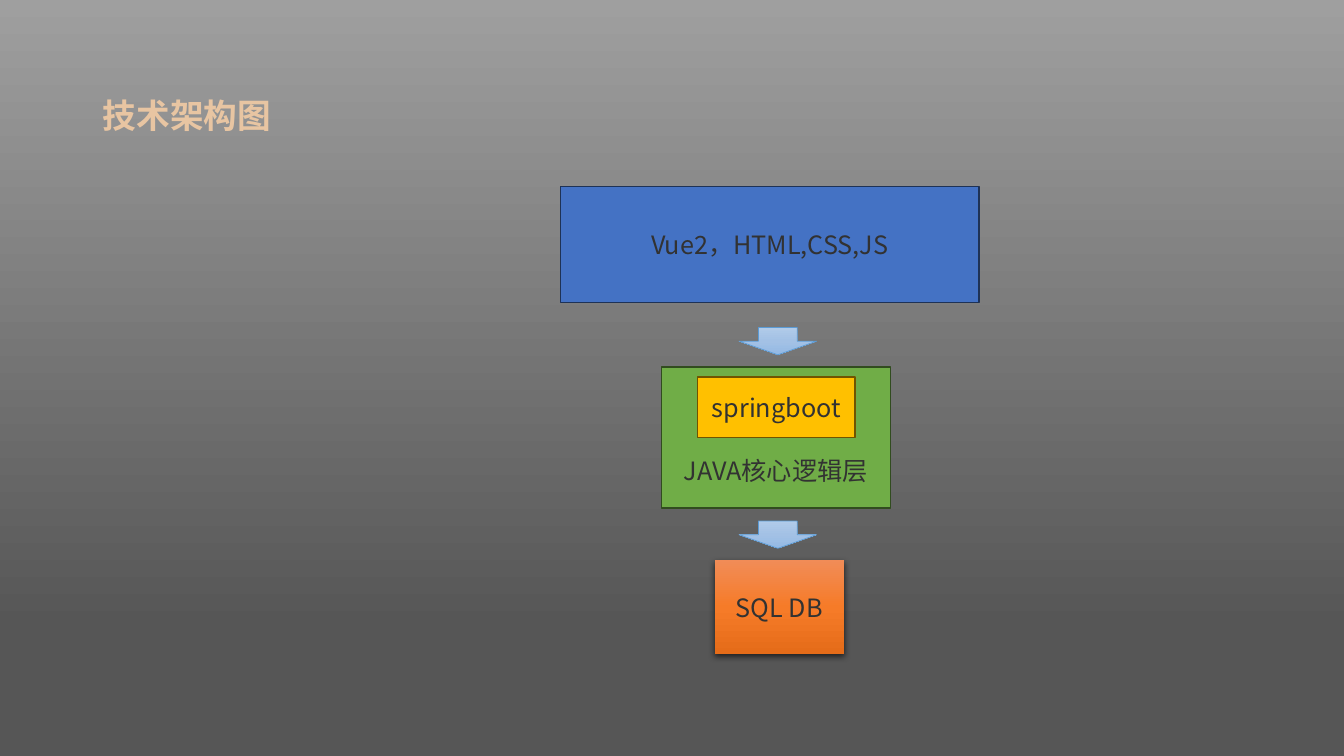
"""Build the technical architecture slide: three stacked layers joined by arrows."""
from lxml.etree import SubElement
from pptx import Presentation
from pptx.dml.color import RGBColor as RGB
from pptx.enum.shapes import MSO_SHAPE as SHAPE
from pptx.enum.text import MSO_ANCHOR as ANCHOR, PP_ALIGN as ALIGN
from pptx.oxml.ns import qn
from pptx.util import Inches, Pt

FONT = "Noto Sans CJK SC"
INK = RGB(0x32, 0x32, 0x32)
BLUE, BLUE_EDGE = RGB(0x44, 0x72, 0xC4), RGB(0x1E, 0x32, 0x56)
GREEN, GREEN_EDGE = RGB(0x70, 0xAD, 0x47), RGB(0x31, 0x4C, 0x1F)
GOLD, GOLD_EDGE = RGB(0xFF, 0xC0, 0x00), RGB(0x70, 0x54, 0x00)
ARROW_EDGE = RGB(0x5B, 0x9B, 0xD5)
BACKDROP = [(0, RGB(0x9F, 0x9F, 0x9F)), (83, RGB(0x56, 0x56, 0x56))]
TITLE_TINT = [(0, RGB(0xE8, 0xC5, 0xA2)), (100, RGB(0xCE, 0x82, 0x36))]
ORANGE = [(0, RGB(0xF1, 0x8C, 0x57)), (50, RGB(0xF6, 0x7B, 0x28)), (100, RGB(0xE5, 0x6C, 0x19))]
SKY = [(0, RGB(0xB1, 0xCB, 0xE9)), (50, RGB(0xA3, 0xC1, 0xE5)), (100, RGB(0x93, 0xB9, 0xE4))]

TITLE = "技术架构图"
LAYERS = [
    dict(text="Vue2，HTML,CSS,JS", box=(5.56, 1.85, 4.15, 1.15), color=BLUE, edge=BLUE_EDGE),
    dict(text="JAVA核心逻辑层", box=(6.56, 3.64, 2.27, 1.4), color=GREEN, edge=GREEN_EDGE,
         anchor=ANCHOR.BOTTOM, bottom=0.22),
    dict(text="springboot", box=(6.92, 3.74, 1.56, 0.6), color=GOLD, edge=GOLD_EDGE),
    dict(text="SQL DB", box=(7.09, 5.56, 1.28, 0.93), color=ORANGE, shadow=True),
]
ARROW_LEFT, ARROW_WIDTH, ARROW_HEIGHT = 7.33, 0.77, 0.27
ARROW_TOP, ARROW_STEP = 3.25, 1.92


def paint(fill, host, color):
    """Fill with one colour, or downwards through a list of (percent, colour) stops."""
    if isinstance(color, RGB):
        fill.solid()
        fill.fore_color.rgb = color
        return
    fill.gradient()
    fill.gradient_angle = 270
    stops = next(host.iter(qn("a:gsLst")))
    for stop in list(stops):
        stops.remove(stop)
    for percent, shade in color:
        stop = SubElement(stops, qn("a:gs"), pos=str(percent * 1000))
        SubElement(stop, qn("a:srgbClr"), val=str(shade))


def write(frame, text, size=18, color=INK, bold=False, align=ALIGN.CENTER,
          anchor=ANCHOR.MIDDLE, bottom=0.05, spacing=None):
    """Put one formatted line of text in a frame."""
    frame.word_wrap = True
    frame.vertical_anchor = anchor
    frame.margin_bottom = Inches(bottom)
    line = frame.paragraphs[0]
    line.alignment = align
    line.line_spacing = spacing
    run = line.add_run()
    run.text = text
    run.font.size, run.font.bold = Pt(size), bold
    paint(run.font.fill, run._r, color)
    run.font.name = FONT
    SubElement(run._r.get_or_add_rPr(), qn("a:ea"), typeface=FONT)


def add_block(slide, kind, box, color, edge=None, weight=1, shadow=False):
    """Add a filled shape with an optional outline and soft shadow."""
    block = slide.shapes.add_shape(kind, *map(Inches, box))
    block.shadow.inherit = False
    paint(block.fill, block._element, color)
    if edge is None:
        block.line.fill.background()
    else:
        block.line.color.rgb = edge
        block.line.width = Pt(weight)
    if shadow:
        effects = next(block._element.iter(qn("a:effectLst")))
        cast = SubElement(effects, qn("a:outerShdw"), blurRad=str(Pt(4.5)), dist=str(Pt(1.5)),
                          dir="5400000", algn="ctr", rotWithShape="0")
        black = SubElement(cast, qn("a:srgbClr"), val="000000")
        SubElement(black, qn("a:alpha"), val="63000")
    return block


def main():
    """Lay out the slide and save it."""
    deck = Presentation()
    deck.slide_width, deck.slide_height = Inches(13.33), Inches(7.5)
    slide = deck.slides.add_slide(deck.slide_layouts[5])
    paint(slide.background.fill, slide._element, BACKDROP)

    title = slide.shapes.title
    title.left, title.top, title.width, title.height = map(Inches, (0.92, 0.4, 11.5, 1.45))
    write(title.text_frame, TITLE, size=24, color=TITLE_TINT, bold=True,
          align=ALIGN.LEFT, spacing=1.1)

    for layer in LAYERS:
        block = add_block(slide, SHAPE.RECTANGLE, layer["box"], layer["color"],
                          edge=layer.get("edge"), shadow=layer.get("shadow", False))
        write(block.text_frame, layer["text"], anchor=layer.get("anchor", ANCHOR.MIDDLE),
              bottom=layer.get("bottom", 0.05))

    for step in range(2):
        box = (ARROW_LEFT, ARROW_TOP + step * ARROW_STEP, ARROW_WIDTH, ARROW_HEIGHT)
        add_block(slide, SHAPE.DOWN_ARROW, box, SKY, edge=ARROW_EDGE, weight=0.5)

    deck.save("out.pptx")


if __name__ == "__main__":
    main()
